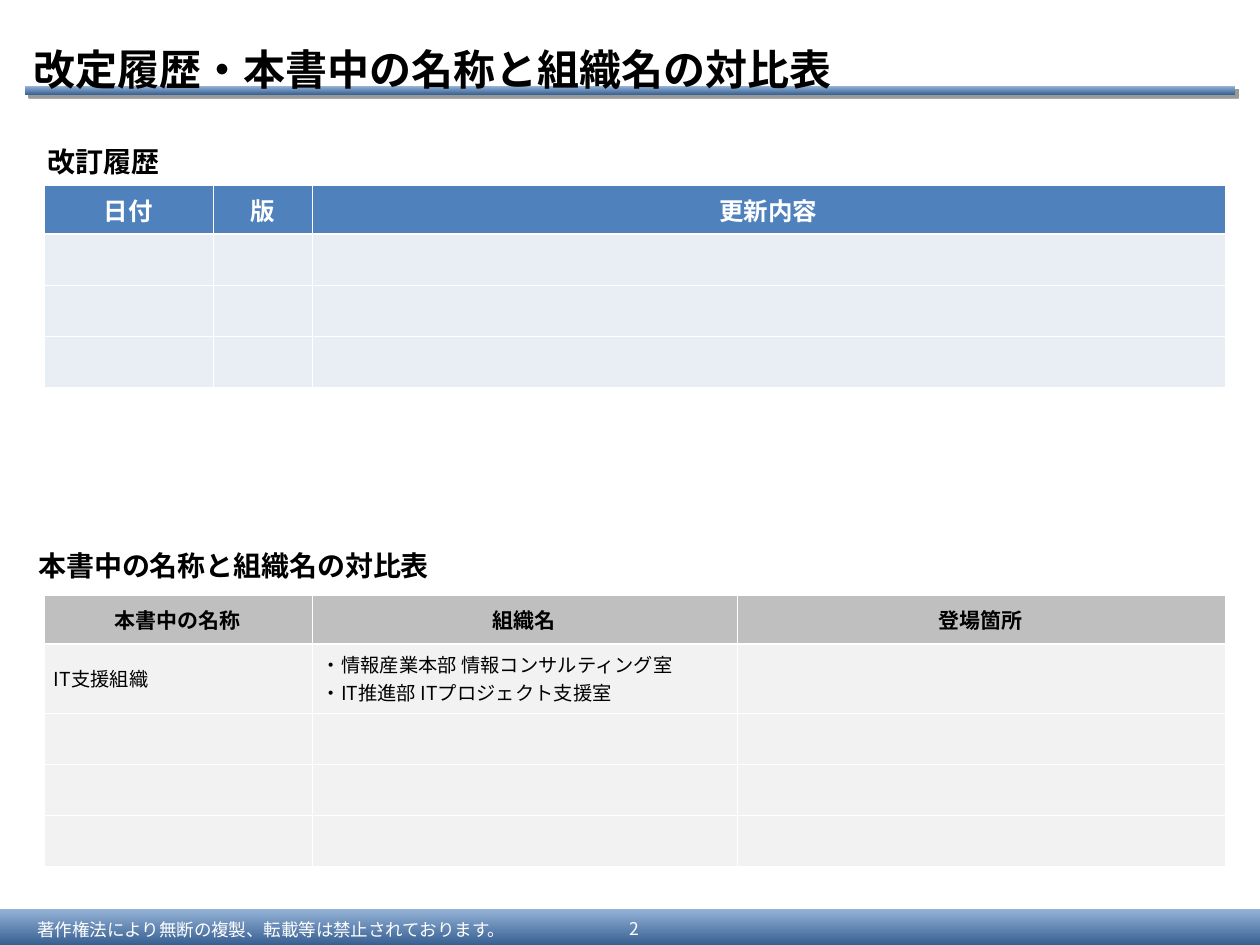
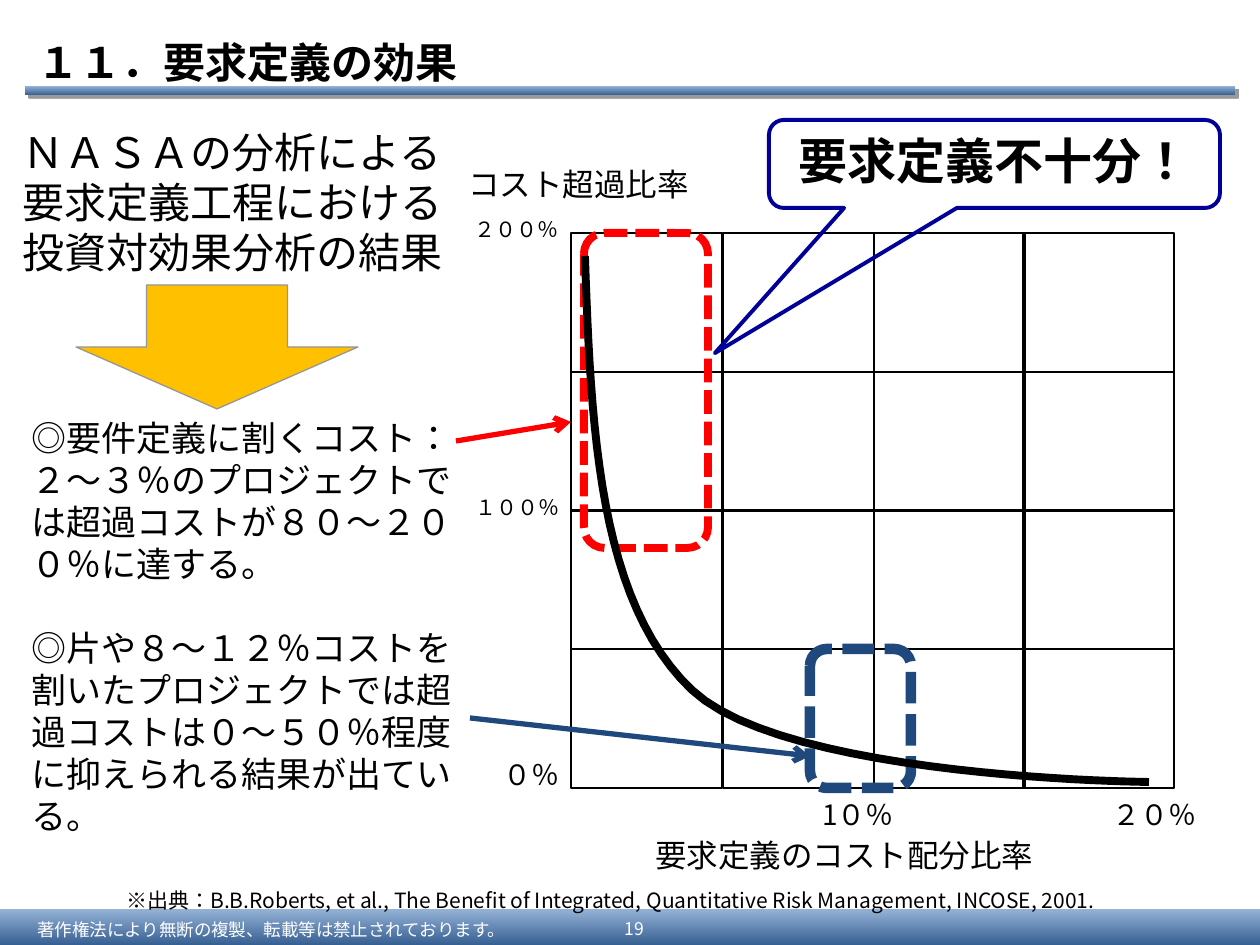
from itertools import product

from lxml.etree import SubElement as Sub
from pptx import Presentation
from pptx.dml.color import RGBColor as RGB
from pptx.enum.dml import MSO_LINE as Dash
from pptx.enum.lang import MSO_LANGUAGE_ID as Lang
from pptx.enum.shapes import MSO_CONNECTOR as Conn, MSO_SHAPE as Kind
from pptx.enum.text import MSO_ANCHOR as Anchor, MSO_AUTO_SIZE as Auto, PP_ALIGN as Align
from pptx.oxml.ns import qn
from pptx.util import Emu, Pt

SCALE = 914400 / 126
JP = "Noto Sans CJK JP"
LATIN = "Calibri"
BLACK = RGB(0x00, 0x00, 0x00)
WHITE = RGB(0xFF, 0xFF, 0xFF)
DEEP = RGB(0x37, 0x60, 0x92)
PALE = RGB(0x95, 0xB3, 0xD7)
BLUE = RGB(0x4F, 0x81, 0xBD)
ICE = RGB(0xE9, 0xED, 0xF4)
GREY = RGB(0xBF, 0xBF, 0xBF)
MIST = RGB(0xF2, 0xF2, 0xF2)
EDGE = RGB(0x96, 0x96, 0x96)
RED = RGB(0xFF, 0x00, 0x00)
NAVY = RGB(0x1F, 0x49, 0x7D)
INK = RGB(0x00, 0x00, 0x99)
GOLD = RGB(0xFF, 0xC0, 0x00)


def px(num):
    """Turn px into EMU."""
    return Emu(round(num * SCALE))


def place(box):
    """Turn a box of px into EMU lengths."""
    return [px(num) for num in box]


def add_run(para, text, size, color=BLACK, bold=False, font=JP):
    """Add one formatted run to a paragraph."""
    run = para.add_run()
    run.text = text
    run.font.language_id = Lang.JAPANESE
    run.font.size = Pt(size)
    run.font.bold = bold
    run.font.color.rgb = color
    run.font.name = font
    Sub(run.font._element, qn("a:ea"), typeface=font)


def write(frame, lines, size, align=Align.LEFT, **look):
    """Fill a text frame with one paragraph per line."""
    for num, line in enumerate(lines):
        para = frame.add_paragraph() if num else frame.paragraphs[0]
        para.alignment = align
        add_run(para, line, size, **look)


def add_text(slide, box, lines, size, anchor=Anchor.TOP, **look):
    """Add a text box."""
    shape = slide.shapes.add_textbox(*place(box))
    frame = shape.text_frame
    frame.word_wrap = True
    frame.vertical_anchor = anchor
    write(frame, lines, size, **look)
    return shape


def add_note(slide, box, lines, size, gap=None, **look):
    """Add a text box with tight lines, and a gap before one of them."""
    frame = add_text(slide, box, lines, size, **look).text_frame
    for num, para in enumerate(frame.paragraphs):
        para.line_spacing = Pt(size * 1.2)
        if num == gap:
            para.space_before = Pt(size * 1.2)


def paint(shape, fill=None, line=None, width=0.75, dash=None):
    """Set fill and line of a shape, without shadow."""
    shape.shadow.inherit = False
    if fill is None:
        shape.fill.background()
    else:
        shape.fill.solid()
        shape.fill.fore_color.rgb = fill
    if line is None:
        shape.line.fill.background()
    else:
        shape.line.color.rgb = line
        shape.line.width = Pt(width)
    if dash is not None:
        shape.line.dash_style = dash
    return shape


def add_shape(slide, kind, box, **look):
    """Add a painted preset shape."""
    return paint(slide.shapes.add_shape(kind, *place(box)), **look)


def add_band(slide, box):
    """Add a band with the shared gradient."""
    band = add_shape(slide, Kind.RECTANGLE, box)
    band.fill.gradient()
    band.fill.gradient_angle = 90
    for stop, color in zip(band.fill.gradient_stops, (DEEP, PALE)):
        stop.color.rgb = color
    return band


def add_shade(shape):
    """Give a shape a hard grey shadow."""
    effect = shape.element.spPr.find(qn("a:effectLst"))
    outer = Sub(effect, qn("a:outerShdw"), blurRad="0", dist="38100", dir="2700000")
    color = Sub(outer, qn("a:srgbClr"), val="000000")
    Sub(color, qn("a:alpha"), val="40000")


def set_frame(slide, layout):
    """Move the shared bands and footer into the layout."""
    rule = add_band(slide, (25, 86, 1210, 9))
    add_shade(rule)
    foot = add_band(slide, (0, 909, 1260, 36))
    words = add_text(slide, (25, 913, 535, 32), ["著作権法により無断の複製、転載等は禁止されております。"],
                     10, Anchor.MIDDLE, color=WHITE)
    for num, shape in enumerate((rule, foot, words), 100):
        shape.element.nvSpPr.cNvPr.set("id", str(num))
        layout.shapes.element.append(shape.element)


def set_head(slide, box, text, page):
    """Fill the title and the page number."""
    title = slide.shapes.title
    title.left, title.top, title.width, title.height = place(box)
    frame = title.text_frame
    frame.auto_size = Auto.NONE
    frame.word_wrap = True
    frame.vertical_anchor = Anchor.MIDDLE
    write(frame, [text], 24, bold=True)
    add_text(slide, (600, 911, 69, 35), [page], 10, Anchor.MIDDLE, align=Align.CENTER, color=WHITE)


def set_edges(cell, top, base):
    """Draw the white borders of a cell."""
    props = cell._tc.get_or_add_tcPr()
    for side, width in zip("LRTB", (0.45, 0.45, top, base)):
        line = Sub(props, qn(f"a:ln{side}"), w=str(Pt(width)))
        Sub(Sub(line, qn("a:solidFill")), qn("a:srgbClr"), val=str(WHITE))


def add_grid(slide, spot, cols, rows, cells, head, body, ink, sizes):
    """Add a table with a header row; cells maps places to lines."""
    box = (*spot, sum(cols), sum(rows))
    table = slide.shapes.add_table(len(rows), len(cols), *place(box)).table
    table.horz_banding = False
    for col, width in zip(table.columns, cols):
        col.width = px(width)
    for row, height in zip(table.rows, rows):
        row.height = px(height)
    for row, col in product(range(len(rows)), range(len(cols))):
        cell = table.cell(row, col)
        top = row == 0
        set_edges(cell, 1.47 if row == 1 else 0.45, 1.47 if top else 0.45)
        cell.fill.solid()
        cell.fill.fore_color.rgb = head if top else body
        if (row, col) not in cells:
            continue
        cell.vertical_anchor = Anchor.MIDDLE
        if not top:
            cell.margin_left = cell.margin_right = px(10)
        write(cell.text_frame, cells[row, col], sizes[0 if top else 1],
              Align.CENTER if top else Align.LEFT, color=ink if top else BLACK, bold=top)


def add_arrow(slide, start, end, color):
    """Add a straight line with an open arrowhead."""
    line = slide.shapes.add_connector(Conn.STRAIGHT, *place(start + end))
    line.line.color.rgb = color
    line.line.width = Pt(3)
    props = line.element.spPr
    Sub(props.find(qn("a:ln")), qn("a:tailEnd"), type="arrow")
    Sub(props, qn("a:effectLst"))


def bend(knots, steps=24):
    """Return points along a cubic curve."""
    spots = []
    for num in range(1, steps + 1):
        t = num / steps
        parts = ((1 - t) ** 3, 3 * t * (1 - t) ** 2, 3 * t * t * (1 - t), t ** 3)
        spots.append(tuple(px(sum(p * k for p, k in zip(parts, axis))) for axis in zip(*knots)))
    return spots


def add_curve(slide):
    """Draw the cost curve."""
    start, mid, end = (585, 256), (692, 690), (1149, 782)
    form = slide.shapes.build_freeform(*place(start))
    form.add_line_segments(bend((start, (591, 430), (599, 602), mid))
                           + bend((mid, (786, 779), end, end)), close=False)
    paint(form.convert_to_shape(), line=BLACK, width=4.5)


def add_names(slide):
    """Build the slide of revisions and names."""
    set_head(slide, (21, 35, 1235, 68), "改定履歴・本書中の名称と組織名の対比表", "2")
    add_grid(slide, (44, 185), (169, 99, 913), (49, 51, 51, 51),
             {(0, 0): ["日付"], (0, 1): ["版"], (0, 2): ["更新内容"]},
             BLUE, ICE, WHITE, (14, 11))
    add_grid(slide, (44, 595), (268, 425, 488), (49, 69, 51, 51, 51),
             {(0, 0): ["本書中の名称"], (0, 1): ["組織名"], (0, 2): ["登場箇所"],
              (1, 0): ["IT支援組織"],
              (1, 1): ["・情報産業本部 情報コンサルティング室", "・IT推進部 ITプロジェクト支援室"]},
             GREY, MIST, BLACK, (12, 11))
    for box, text in (((26, 542, 430, 47), "本書中の名称と組織名の対比表"),
                      ((35, 138, 150, 47), "改訂履歴")):
        add_text(slide, box, [text], 16, bold=True, font=LATIN)


def add_effect(slide):
    """Build the slide on the effect of requirements."""
    set_head(slide, (25, 28, 1235, 68), "１１．要求定義の効果", "19")
    for top, left in product((233, 372, 510, 649), (571, 723, 874, 1023)):
        add_shape(slide, Kind.RECTANGLE, (left, top, 151, 139), line=BLACK)
    for box, text, size, align in (
            ((407, 210, 164, 38), "２００％", 12, Align.RIGHT),
            ((408, 488, 164, 38), "１００％", 12, Align.RIGHT),
            ((408, 751, 164, 47), "０％", 16, Align.RIGHT),
            ((810, 791, 135, 47), "1０％", 16, Align.LEFT),
            ((1100, 791, 135, 47), "２０％", 16, Align.LEFT),
            ((643, 830, 503, 50), "要求定義のコスト配分比率", 18, Align.LEFT),
            ((456, 159, 253, 50), "コスト超過比率", 18, Align.LEFT)):
        add_note(slide, box, [text], size, align=align)
    for box, color, width in (((584, 233, 124, 315), RED, 4.5),
                              ((810, 649, 101, 139), NAVY, 6)):
        add_shape(slide, Kind.ROUNDED_RECTANGLE, box, line=color, width=width, dash=Dash.SQUARE_DOT)
    add_curve(slide)
    call = add_shape(slide, Kind.ROUNDED_RECTANGULAR_CALLOUT, (769, 120, 451, 88), line=INK, width=2.25)
    for num, value in enumerate((-0.62, 2.15, 0.17)):
        call.adjustments[num] = value
    frame = call.text_frame
    frame.margin_left = frame.margin_right = px(6)
    frame.vertical_anchor = Anchor.TOP
    write(frame, ["要求定義不十分！"], 28, Align.CENTER, bold=True)
    add_note(slide, (10, 120, 451, 164),
             ["ＮＡＳＡの分析による", "要求定義工程における", "投資対効果分析の結果"], 24)
    add_note(slide, (19, 410, 451, 433),
             ["◎要件定義に割くコスト：",
              "２～３％のプロジェクトでは超過コストが８０～２００％に達する。",
              "◎片や８～１２％コストを割いたプロジェクトでは超過コストは０～５０％程度に抑えられる結果が出ている。"],
             20, gap=2)
    add_shape(slide, Kind.DOWN_ARROW, (76, 285, 282, 124), fill=GOLD, line=EDGE)
    add_note(slide, (114, 881, 1121, 38),
             ["※出典：B.B.Roberts, et al., The Benefit of Integrated, "
              "Quantitative Risk Management, INCOSE, 2001."], 12)
    add_arrow(slide, (456, 441), (571, 422), RED)
    add_arrow(slide, (470, 718), (810, 756), NAVY)


def main():
    """Build and save the deck."""
    deck = Presentation()
    deck.slide_width, deck.slide_height = px(1260), px(945)
    layout = deck.slide_layouts[5]
    first, second = (deck.slides.add_slide(layout) for _ in range(2))
    set_frame(first, layout)
    add_names(first)
    add_effect(second)
    deck.save("out.pptx")


if __name__ == "__main__":
    main()
